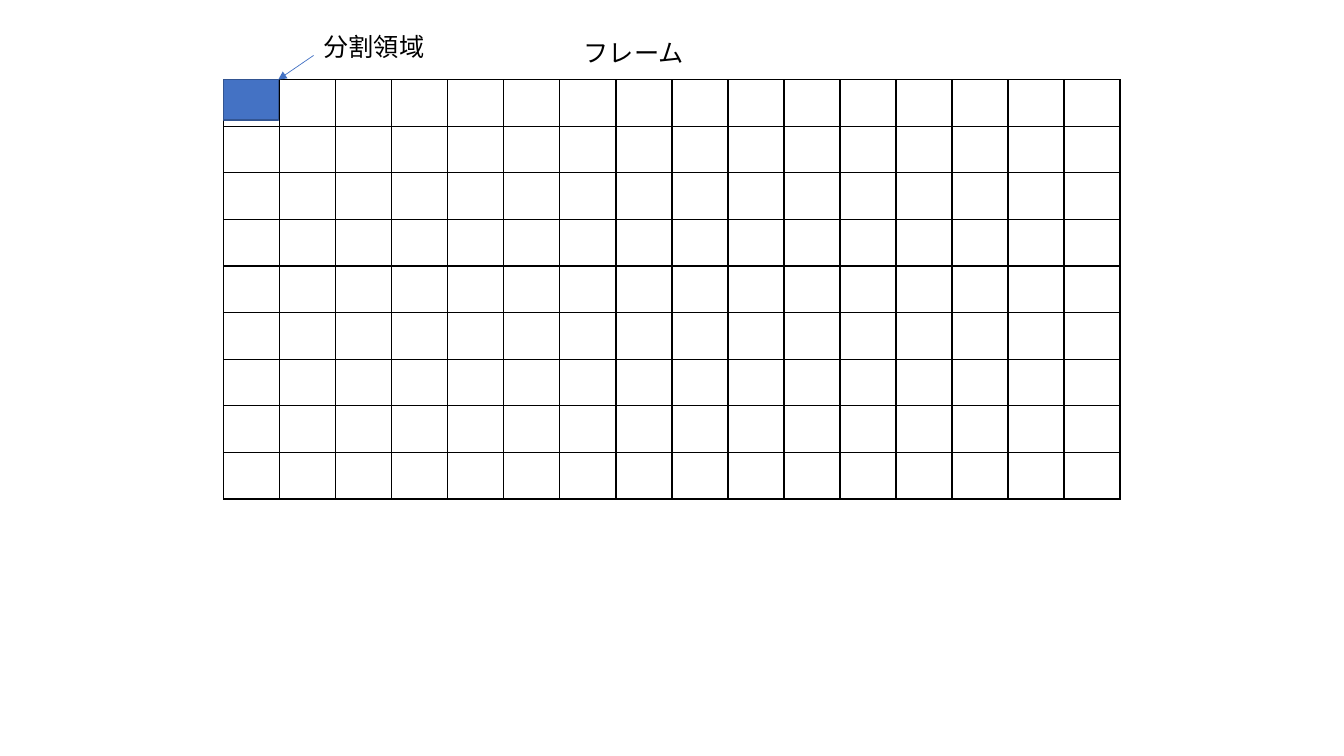
"""Build a slide showing a frame split into a grid, with one divided region marked."""
from dataclasses import dataclass

from lxml import etree
from pptx import Presentation
from pptx.dml.color import RGBColor
from pptx.enum.shapes import MSO_CONNECTOR, MSO_SHAPE
from pptx.enum.text import MSO_AUTO_SIZE
from pptx.oxml.ns import qn
from pptx.util import Inches, Pt

RECTANGLE = MSO_SHAPE.RECTANGLE
STRAIGHT = MSO_CONNECTOR.STRAIGHT
FIT_SHAPE = MSO_AUTO_SIZE.SHAPE_TO_FIT_TEXT


@dataclass(frozen=True)
class Theme:
    font: str = "Noto Sans CJK JP"
    label_size: int = 18
    ink: str = "000000"
    accent: str = "4472C4"
    accent_edge: str = "325491"
    grid_line: float = 1
    region_line: float = 1
    arrow_line: float = 0.5


THEME = Theme()
LABELS = [("分割領域", 3.11, 0.26), ("フレーム", 5.69, 0.32)]
LABEL_SIZE = (1.21, 0.4)
ROWS, COLUMNS = 9, 16
FRAME_LEFT, FRAME_TOP, FRAME_WIDTH, FRAME_HEIGHT = 2.22, 0.79, 8.89, 4.16
REGION_WIDTH, REGION_HEIGHT = 0.54, 0.4
ARROW_START = (3.11, 0.55)
ARROW_END = (FRAME_LEFT + REGION_WIDTH, FRAME_TOP)


def color(value):
    return RGBColor.from_string(value)


def add_borders(cell):
    properties = cell._tc.get_or_add_tcPr()
    for side in ("a:lnL", "a:lnR", "a:lnT", "a:lnB"):
        border = etree.SubElement(properties, qn(side), w=str(Pt(THEME.grid_line)))
        fill = etree.SubElement(border, qn("a:solidFill"))
        etree.SubElement(fill, qn("a:srgbClr"), val=THEME.ink)


def add_frame(page):
    area = map(Inches, (FRAME_LEFT, FRAME_TOP, FRAME_WIDTH, FRAME_HEIGHT))
    table = page.shapes.add_table(ROWS, COLUMNS, *area).table
    table.first_row = False
    table.horz_banding = False
    for cell in table.iter_cells():
        add_borders(cell)
        cell.fill.background()


def add_region(page):
    area = map(Inches, (FRAME_LEFT, FRAME_TOP, REGION_WIDTH, REGION_HEIGHT))
    region = page.shapes.add_shape(RECTANGLE, *area)
    region.shadow.inherit = False
    region.fill.solid()
    region.fill.fore_color.rgb = color(THEME.accent)
    region.line.color.rgb = color(THEME.accent_edge)
    region.line.width = Pt(THEME.region_line)


def add_arrow(page):
    ends = map(Inches, ARROW_START + ARROW_END)
    arrow = page.shapes.add_connector(STRAIGHT, *ends)
    arrow.line.color.rgb = color(THEME.accent)
    arrow.line.width = Pt(THEME.arrow_line)
    etree.SubElement(arrow.line._get_or_add_ln(), qn("a:tailEnd"), type="triangle")
    etree.SubElement(arrow._element.spPr, qn("a:effectLst"))


def add_label(page, text, left, top):
    box = page.shapes.add_textbox(*map(Inches, (left, top, *LABEL_SIZE)))
    box.text_frame.word_wrap = False
    box.text_frame.auto_size = FIT_SHAPE
    para = box.text_frame.paragraphs[0]
    para.font.size = Pt(THEME.label_size)
    para.font.name = THEME.font
    para.font.color.rgb = color(THEME.ink)
    span = para.add_run()
    span.text = text
    etree.SubElement(span._r.get_or_add_rPr(), qn("a:ea"), typeface=THEME.font)


deck = Presentation()
deck.slide_width, deck.slide_height = Inches(13.33), Inches(7.5)
page = deck.slides.add_slide(deck.slide_layouts[6])
add_frame(page)
add_region(page)
add_arrow(page)
for label in LABELS:
    add_label(page, *label)
deck.save("out.pptx")
